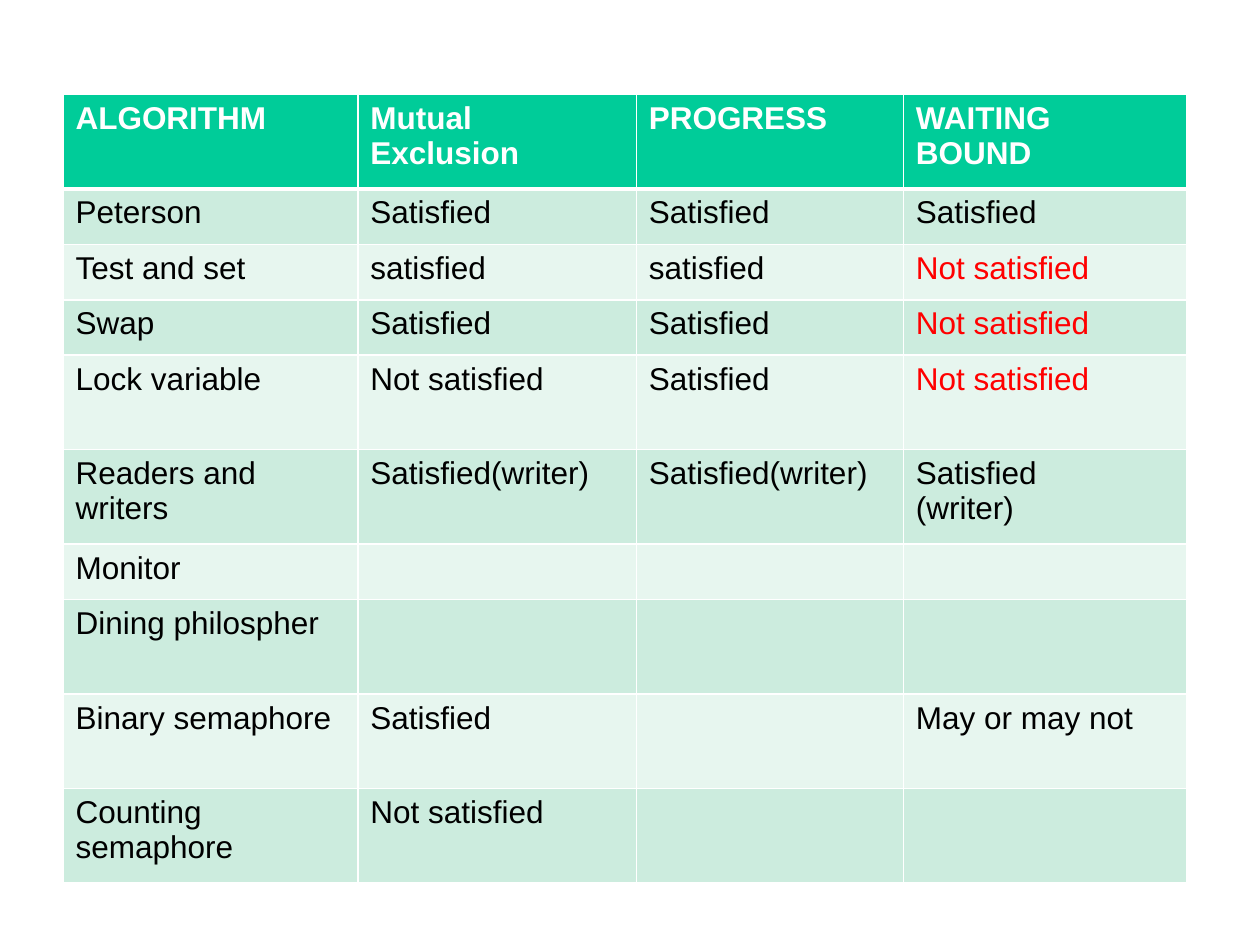
from lxml import etree
from pptx import Presentation
from pptx.dml.color import RGBColor
from pptx.oxml.ns import qn
from pptx.util import Inches, Pt

COLORS = {
    "header": "00CC99",
    "odd_row": "CCECDE",
    "even_row": "E7F6EF",
    "white": "FFFFFF",
    "text": "000000",
    "warning": "FF0000",
}
COLUMN_WIDTHS = [2.34, 2.21, 2.12, 2.25]
SHORT_ROW, TALL_ROW = 0.44, 0.75
SHORT_ROWS = {"Peterson", "Test and set", "Swap", "Monitor"}
ROWS = [
    ["ALGORITHM", "Mutual Exclusion", "PROGRESS", "WAITING BOUND"],
    ["Peterson", "Satisfied", "Satisfied", "Satisfied"],
    ["Test and set", "satisfied", "satisfied", "Not satisfied"],
    ["Swap", "Satisfied", "Satisfied", "Not satisfied"],
    ["Lock variable", "Not satisfied", "Satisfied", "Not satisfied"],
    ["Readers and writers", "Satisfied(writer)", "Satisfied(writer)", "Satisfied\n(writer)"],
    ["Monitor", "", "", ""],
    ["Dining philospher", "", "", ""],
    ["Binary semaphore", "Satisfied", "", "May or may not"],
    ["Counting semaphore", "Not satisfied", "", ""],
]


def set_borders(cell, widths):
    """Draw white cell borders; widths maps each side's tag to points."""
    properties = cell._tc.get_or_add_tcPr()
    for tag, width in widths.items():
        line = etree.SubElement(properties, qn(f"a:{tag}"), w=str(Pt(width)))
        fill = etree.SubElement(line, qn("a:solidFill"))
        etree.SubElement(fill, qn("a:srgbClr"), val=COLORS["white"])


presentation = Presentation()
presentation.slide_width = Inches(10)
presentation.slide_height = Inches(7.5)
slide = presentation.slides.add_slide(presentation.slide_layouts[6])
slide.background.fill.solid()
slide.background.fill.fore_color.rgb = RGBColor.from_string(COLORS["white"])

row_heights = [SHORT_ROW if row[0] in SHORT_ROWS else TALL_ROW for row in ROWS]
table = slide.shapes.add_table(
    len(ROWS), len(COLUMN_WIDTHS), Inches(0.5), Inches(0.75),
    Inches(sum(COLUMN_WIDTHS)), Inches(sum(row_heights)),
).table
for column, width in zip(table.columns, COLUMN_WIDTHS):
    column.width = Inches(width)

for row_index, (texts, height) in enumerate(zip(ROWS, row_heights)):
    table.rows[row_index].height = Inches(height)
    is_header = row_index == 0
    row_color = "header" if is_header else "odd_row" if row_index % 2 else "even_row"
    top = 3 if row_index == 1 else 1
    bottom = 3 if is_header else 1

    for column_index, text in enumerate(texts):
        cell = table.cell(row_index, column_index)
        set_borders(cell, {"lnL": 1, "lnR": 1, "lnT": top, "lnB": bottom})
        cell.fill.solid()
        cell.fill.fore_color.rgb = RGBColor.from_string(COLORS[row_color])

        is_unbounded = column_index == 3 and text == "Not satisfied"
        text_color = "white" if is_header else "warning" if is_unbounded else "text"
        cell.text_frame.text = text
        for paragraph in cell.text_frame.paragraphs:
            for run in paragraph.runs:
                run.font.name = "Arial"
                run.font.size = Pt(18)
                run.font.bold = is_header
                run.font.color.rgb = RGBColor.from_string(COLORS[text_color])

presentation.save("out.pptx")
